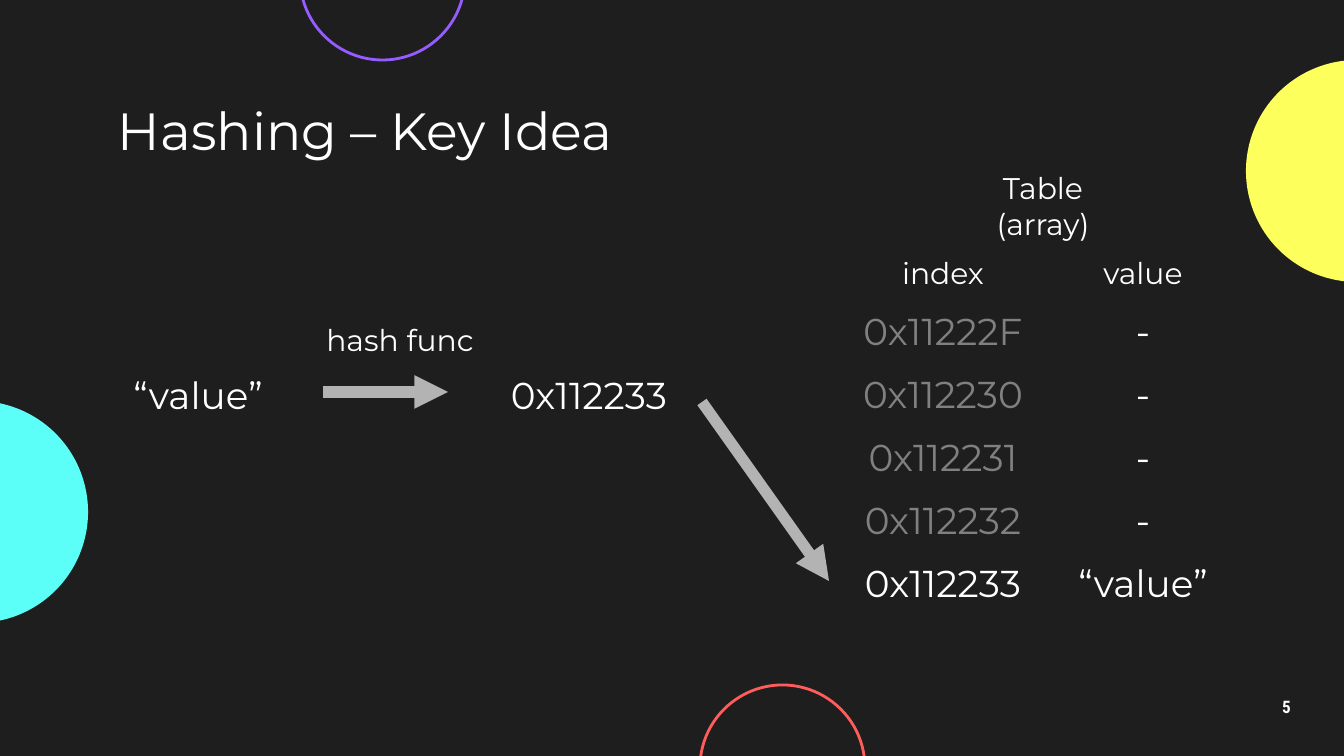
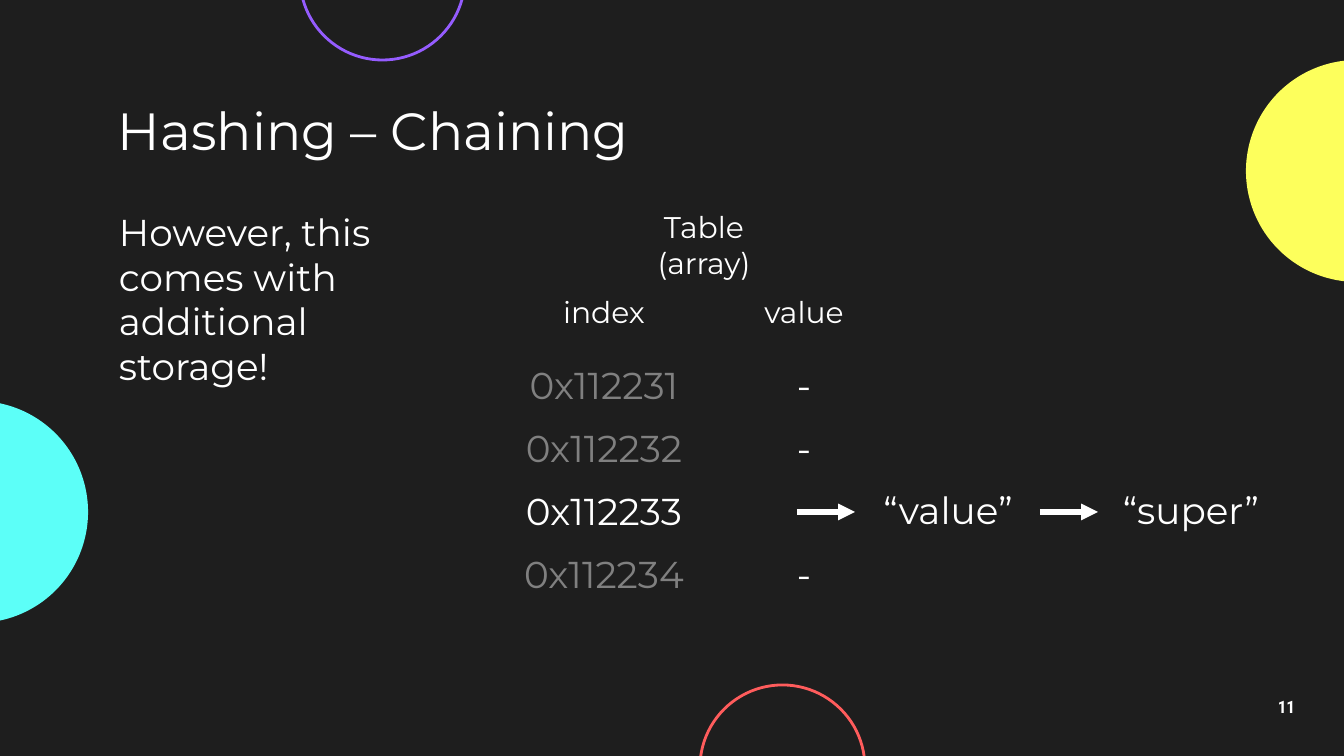
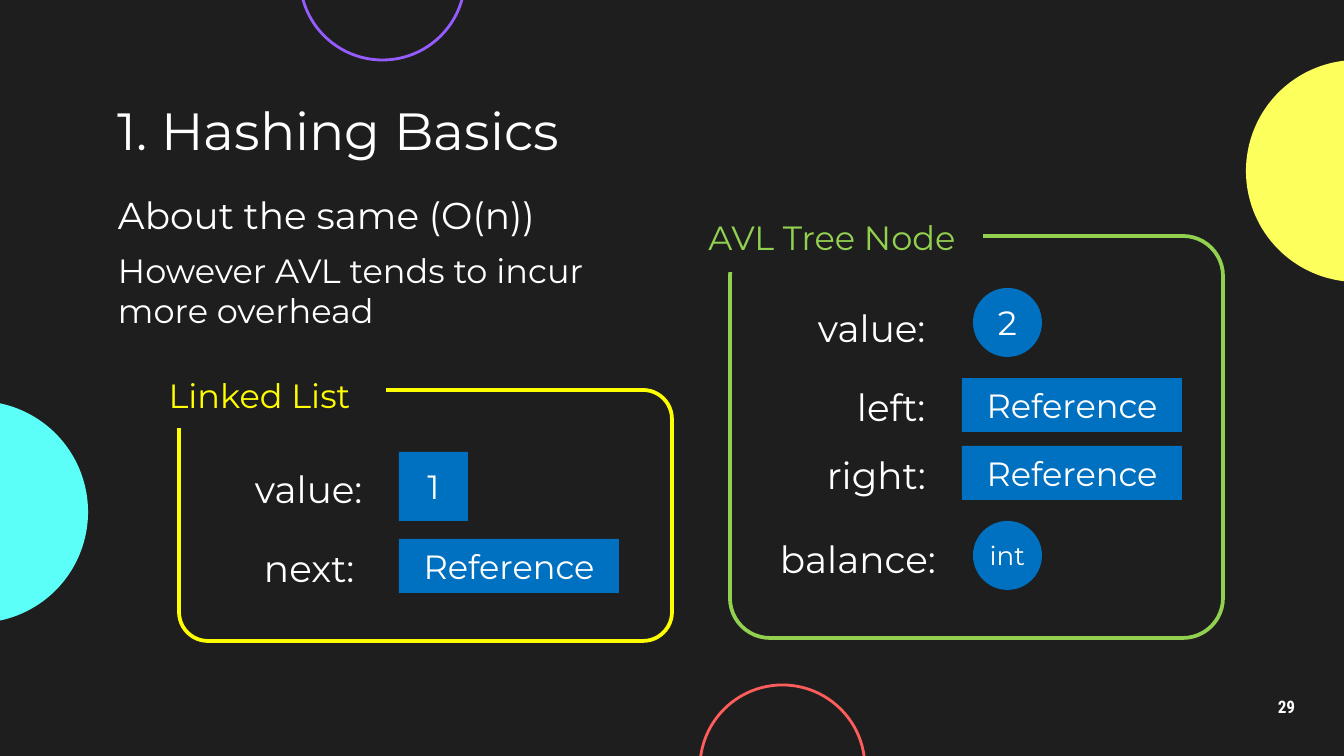
from pptx import Presentation
from pptx.dml.color import RGBColor
from pptx.enum.shapes import MSO_CONNECTOR, MSO_SHAPE
from pptx.enum.text import MSO_ANCHOR, MSO_AUTO_SIZE, PP_ALIGN
from pptx.oxml.ns import qn
from pptx.util import Emu, Pt
from lxml.etree import SubElement

SCALE = 914400 / 134.4
SLIDE_WIDTH, SLIDE_HEIGHT = 1344, 756
TITLE_ONLY = 5

BACKGROUND, WHITE, GREY, ARROW_GREY = "1E1E1E", "FFFFFF", "808080", "B3B3B3"
CYAN, LEMON, PURPLE, CORAL = "5CFFF8", "FDFF5C", "955CFF", "FF5C5C"
BLUE, YELLOW, GREEN = "0070C0", "FFFF00", "92D050"

BODY_FONT, NUMBER_FONT = "Montserrat", "Roboto Condensed"
PADDING = 13
LABEL_HEIGHT = 69
CELL_WIDTH = 200
ROW_STEP = 63
CHAIN_STEP = 243

SQUARE = (MSO_SHAPE.RECTANGLE, 69, 69)
CIRCLE = (MSO_SHAPE.OVAL, 69, 69)
BAR = (MSO_SHAPE.RECTANGLE, 220, 54)


def px(length):
    return Emu(round(length * SCALE))


def color(value):
    return RGBColor.from_string(value)


def write(shape, text, size, ink=WHITE, align=PP_ALIGN.LEFT, anchor=MSO_ANCHOR.TOP,
          font=BODY_FONT, bold=False, wrap=True):
    frame = shape.text_frame
    frame.auto_size = MSO_AUTO_SIZE.NONE
    frame.word_wrap = wrap
    frame.vertical_anchor = anchor
    frame.margin_left = frame.margin_right = px(PADDING)
    frame.margin_top = frame.margin_bottom = px(PADDING)
    para = frame.paragraphs[0]
    para.alignment = align
    span = para.add_run()
    span.text = text
    span.font.name = font
    span.font.size = Pt(size)
    span.font.bold = bold
    span.font.color.rgb = color(ink)
    return para


def add_label(page, box, text, size=20, **style):
    shape = page.shapes.add_textbox(*map(px, box))
    return write(shape, text, size, **style)


def add_cell(page, left, top, text, size=20, ink=WHITE, width=CELL_WIDTH):
    """Add a centred label of standard height."""
    add_label(page, (left, top, width, LABEL_HEIGHT), text, size,
              ink=ink, align=PP_ALIGN.CENTER)


def add_figure(page, kind, box, fill=None, line=None, weight=1.5):
    shape = page.shapes.add_shape(kind, *map(px, box))
    shape.shadow.inherit = False
    if fill:
        shape.fill.solid()
        shape.fill.fore_color.rgb = color(fill)
    else:
        shape.fill.background()
    if line:
        shape.line.color.rgb = color(line)
        shape.line.width = Pt(weight)
    else:
        shape.line.fill.background()
    return shape


def add_arrow(page, start, end, ink, weight):
    arrow = page.shapes.add_connector(MSO_CONNECTOR.STRAIGHT, *map(px, (*start, *end)))
    arrow.line.color.rgb = color(ink)
    arrow.line.width = Pt(weight)
    properties = arrow.element.spPr
    SubElement(properties.find(qn("a:ln")), qn("a:tailEnd"), type="triangle")
    SubElement(properties, qn("a:effectLst"))


def decorate_master(deck, page):
    """Set the dark background and move the edge circles to the master."""
    master = deck.slide_master
    master.background.fill.solid()
    master.background.fill.fore_color.rgb = color(BACKGROUND)
    for left, top, size, fill, line in (
        (-134, 401, 222, CYAN, None),
        (1246, 60, 222, LEMON, None),
        (300, -105, 165, None, PURPLE),
        (700, 685, 165, None, CORAL),
    ):
        circle = add_figure(page, MSO_SHAPE.OVAL, (left, top, size, size), fill, line)
        master.shapes.element.append(circle.element)


def add_page(deck, title, number):
    page = deck.slides.add_slide(deck.slide_layouts[TITLE_ONLY])
    heading = page.shapes.title
    heading.left, heading.top, heading.width, heading.height = map(px, (105, 95, 1134, 69))
    write(heading, title, 28, anchor=MSO_ANCHOR.MIDDLE)
    footer = add_label(page, (1246, 685, 81, 46), str(number), 9.2, font=NUMBER_FONT,
                       bold=True, align=PP_ALIGN.CENTER, anchor=MSO_ANCHOR.MIDDLE)
    footer.line_spacing = 0.9
    return page


def add_hash_table(page, left, top, first_row, rows, lit_index="0x112233"):
    """Draw the two-column array; first_row is the offset of its first row."""
    add_cell(page, left + CELL_WIDTH // 2, top, "Table (array)", 16)
    for column, heading in enumerate(("index", "value")):
        add_cell(page, left + column * CELL_WIDTH, top + 85, heading, 16)
    for row, (index, value) in enumerate(rows):
        row_top = top + first_row + row * ROW_STEP
        add_cell(page, left, row_top, index, ink=WHITE if index == lit_index else GREY)
        if value:
            add_cell(page, left + CELL_WIDTH, row_top, value)


def add_hash_flow(page, left, top):
    """Draw the value, its hash and the arrow towards the table."""
    add_cell(page, left, top + 50, "“value”")
    add_cell(page, left + 202, top, "hash func", 16)
    add_cell(page, left + 391, top + 50, "0x112233")
    add_arrow(page, (left + 225, top + 83), (left + 350, top + 83), ARROW_GREY, 6)
    add_arrow(page, (left + 604, top + 93), (left + 731, top + 272), ARROW_GREY, 6)


def add_chain(page, left, top, values):
    for link, value in enumerate(values):
        link_left = left + link * CHAIN_STEP
        add_arrow(page, (link_left, top + 38), (link_left + 58, top + 38), WHITE, 3)
        add_cell(page, link_left + 51, top, value)


def add_node(page, box, corner, name, name_box, ink, fields):
    """Draw a framed node; name and fields are placed from the frame's corner."""
    left, top, _, _ = box
    frame = add_figure(page, MSO_SHAPE.ROUNDED_RECTANGLE, box, line=ink, weight=2)
    frame.adjustments[0] = corner / min(box[2:])
    name_left, name_top, width, height = name_box
    tab = add_figure(page, MSO_SHAPE.RECTANGLE,
                     (left + name_left, top + name_top, width, height), BACKGROUND)
    write(tab, name, 18, ink, PP_ALIGN.CENTER, MSO_ANCHOR.MIDDLE)
    for label, label_left, label_top, figure, figure_left, figure_top, content, size in fields:
        add_label(page, (left + label_left, top + label_top, CELL_WIDTH, LABEL_HEIGHT), label)
        kind, width, height = figure
        holder = add_figure(page, kind, (left + figure_left, top + figure_top, width, height), BLUE)
        write(holder, content, size, align=PP_ALIGN.CENTER,
              anchor=MSO_ANCHOR.MIDDLE, wrap=False)


def build_key_idea(page):
    add_hash_flow(page, 98, 309)
    add_hash_table(page, 843, 157, 138, (
        ("0x11222F", "-"),
        ("0x112230", "-"),
        ("0x112231", "-"),
        ("0x112232", "-"),
        ("0x112233", "“value”"),
    ))


def build_chaining(page):
    add_label(page, (106, 196, 345, LABEL_HEIGHT), "However, this comes with additional storage!")
    add_hash_table(page, 504, 196, 153, (
        ("0x112231", "-"),
        ("0x112232", "-"),
        ("0x112233", None),
        ("0x112234", "-"),
    ))
    add_chain(page, 797, 474, ("“value”", "“super”"))


def build_basics(page):
    add_label(page, (105, 179, 620, LABEL_HEIGHT), "About the same (O(n))")
    add_label(page, (105, 237, 524, LABEL_HEIGHT), "However AVL tends to incur more overhead", 18)
    add_node(page, (179, 390, 493, 251), 29, "Linked List", (-46, -28, 253, 66), YELLOW, (
        ("value:", 63, 63, SQUARE, 220, 62, "1", 18),
        ("next:", 72, 142, BAR, 220, 149, "Reference", 18),
    ))
    add_node(page, (730, 236, 493, 402), 40, "AVL Tree Node", (-49, -33, 302, 69), GREEN, (
        ("value:", 75, 56, CIRCLE, 243, 52, "2", 18),
        ("left:", 114, 135, BAR, 232, 142, "Reference", 18),
        ("right:", 84, 203, BAR, 232, 210, "Reference", 18),
        ("balance:", 37, 287, CIRCLE, 243, 285, "int", 14),
    ))


def main():
    deck = Presentation()
    deck.slide_width, deck.slide_height = px(SLIDE_WIDTH), px(SLIDE_HEIGHT)
    pages = (
        ("Hashing – Key Idea", 5, build_key_idea),
        ("Hashing – Chaining", 11, build_chaining),
        ("1. Hashing Basics", 29, build_basics),
    )
    for title, number, build in pages:
        build(add_page(deck, title, number))
    decorate_master(deck, deck.slides[0])
    deck.save("out.pptx")


if __name__ == "__main__":
    main()
